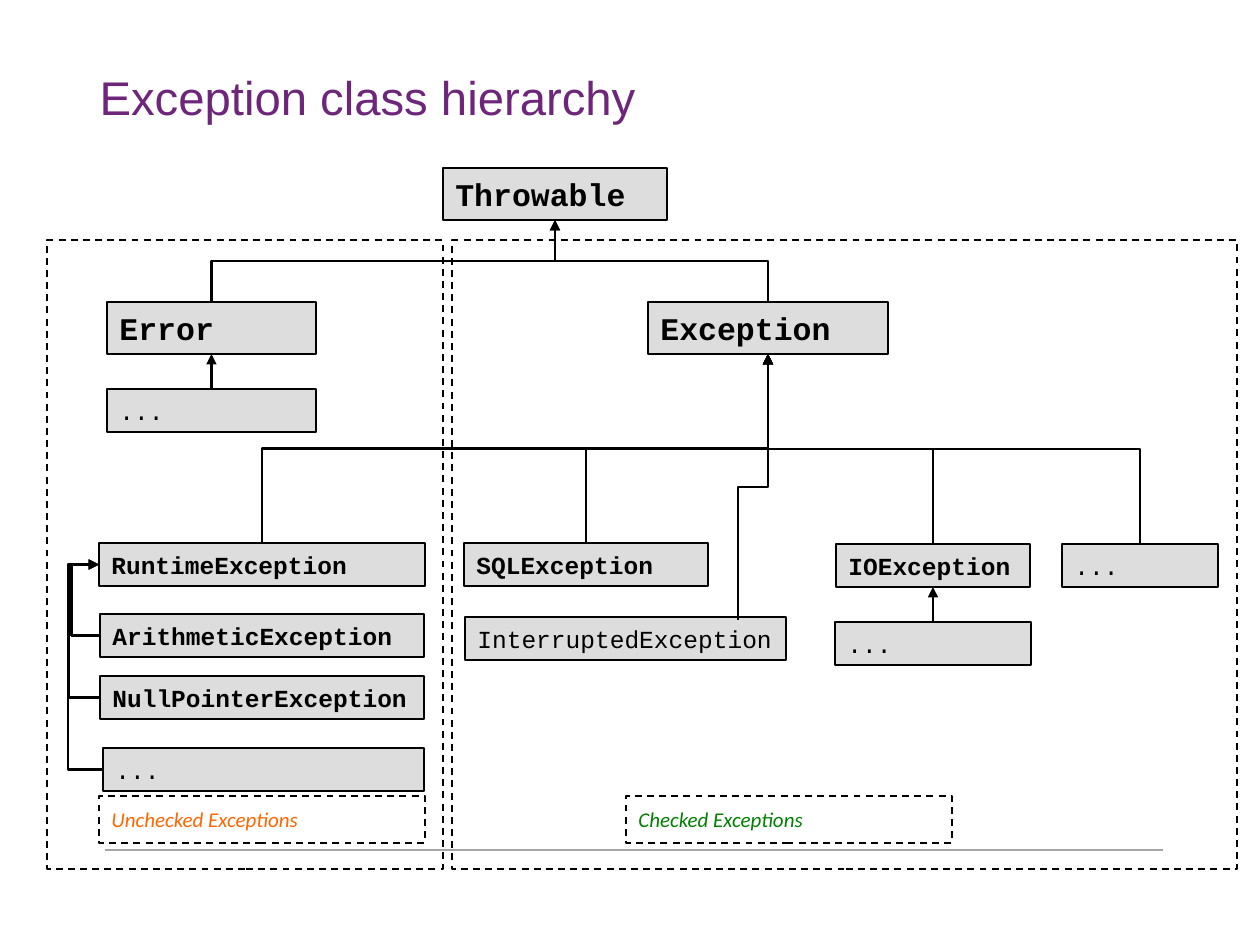
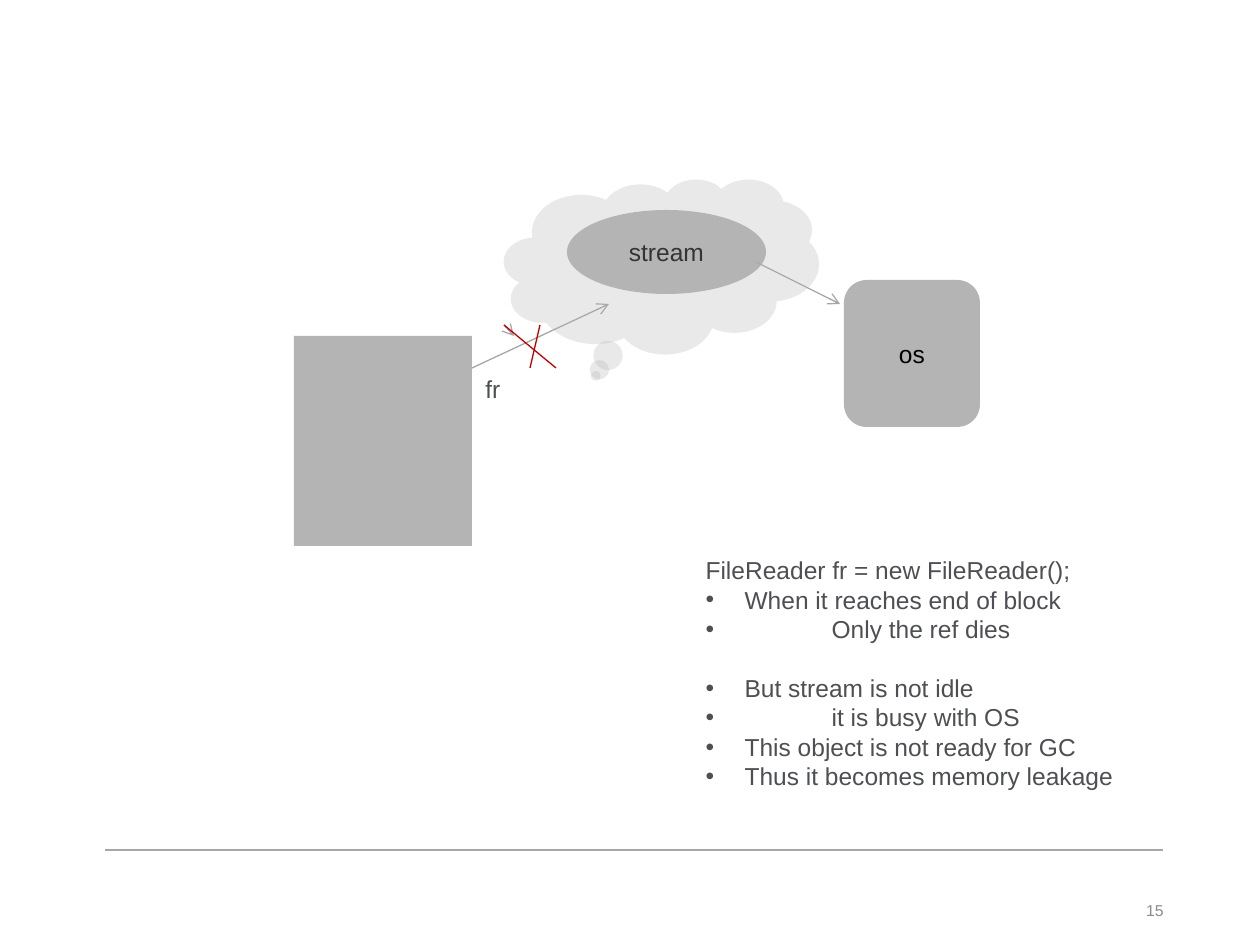
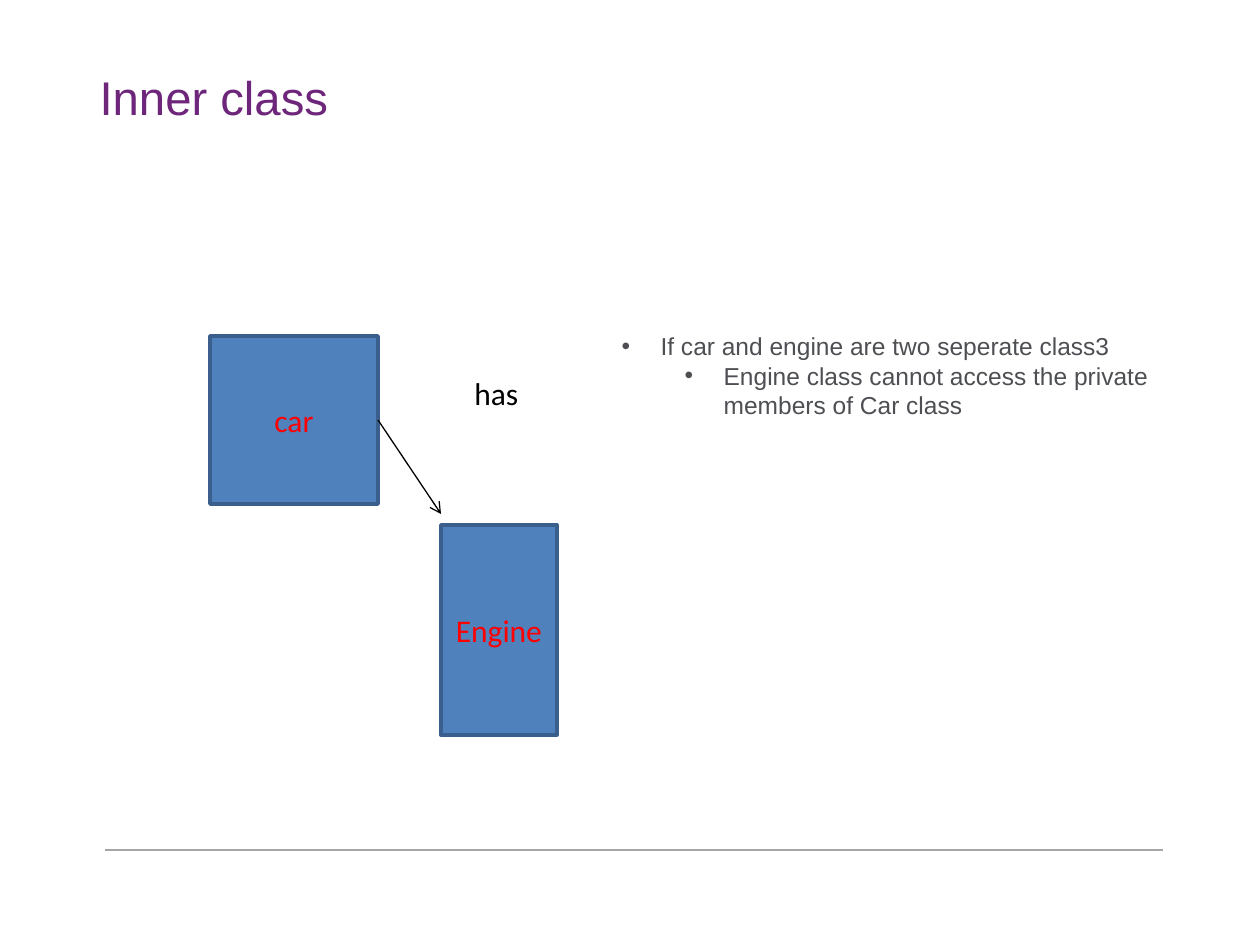
from lxml.etree import SubElement
from pptx import Presentation
from pptx.dml.color import RGBColor
from pptx.enum.dml import MSO_LINE
from pptx.enum.shapes import MSO_CONNECTOR, MSO_SHAPE
from pptx.enum.text import MSO_ANCHOR, MSO_AUTO_SIZE, PP_ALIGN
from pptx.oxml.ns import qn
from pptx.util import Emu, Pt

PX = 914400 / 126
BLACK = RGBColor(0x00, 0x00, 0x00)
PURPLE = RGBColor(0x6E, 0x26, 0x7B)
BOX_GREY = RGBColor(0xDD, 0xDD, 0xDD)
SHAPE_GREY = RGBColor(0xB4, 0xB4, 0xB4)
LINE_GREY = RGBColor(0xA6, 0xA6, 0xA6)
NUMBER_GREY = RGBColor(0x8C, 0x8C, 0x8C)
TEXT_GREY = RGBColor(0x4D, 0x4F, 0x53)
ORANGE = RGBColor(0xFF, 0x66, 0x00)
GREEN = RGBColor(0x00, 0x80, 0x00)
DARK_RED = RGBColor(0xC0, 0x00, 0x00)
RED = RGBColor(0xFF, 0x00, 0x00)
BLUE = RGBColor(0x4F, 0x81, 0xBD)
BLUE_EDGE = RGBColor(0x3A, 0x5F, 0x8C)

TITLE_AND_CONTENT, TITLE_ONLY = 1, 5
TOP, LEFT, BOTTOM = 0, 1, 2  # connection sites of a rectangle
LINE_HEIGHT = Pt(16.8)
HANGING = 39


def px(*lengths):
    return [Emu(round(length * PX)) for length in lengths]


def style_paragraph(paragraph, font_name, size, color, bold=False, italic=False,
                    align=PP_ALIGN.LEFT):
    paragraph.alignment = align
    font = paragraph.font
    font.name, font.size = font_name, Pt(size)
    font.bold, font.italic = bold, italic
    font.color.rgb = color


def write(shape, text, font_name, size, color, anchor=MSO_ANCHOR.MIDDLE, **style):
    frame = shape.text_frame
    frame.word_wrap = True
    frame.vertical_anchor = anchor
    frame.text = text
    style_paragraph(frame.paragraphs[0], font_name, size, color, **style)


def add_label(slide, box, text, font_name, size, color, **style):
    label = slide.shapes.add_textbox(*px(*box))
    write(label, text, font_name, size, color, **style)


def add_block(slide, kind, box, fill=None, line=None, line_width=0.75):
    shape = slide.shapes.add_shape(kind, *px(*box))
    shape.shadow.inherit = False
    if fill is None:
        shape.fill.background()
    else:
        shape.fill.solid()
        shape.fill.fore_color.rgb = fill
    if line is None:
        shape.line.fill.background()
    else:
        shape.line.color.rgb = line
        shape.line.width = Pt(line_width)
    return shape


def style_connector(connector, color, width, arrowhead=None):
    connector.line.color.rgb = color
    connector.line.width = Pt(width)
    properties = connector.element.spPr
    if arrowhead:
        SubElement(properties.find(qn("a:ln")), qn("a:tailEnd"), type=arrowhead)
    SubElement(properties, qn("a:effectLst"))


def add_line(slide, start, end, color, arrowhead=None):
    connector = slide.shapes.add_connector(MSO_CONNECTOR.STRAIGHT, *px(*start, *end))
    style_connector(connector, color, 0.75, arrowhead)
    return connector


def set_title(slide, text):
    title = slide.shapes.title
    title.left, title.top, title.width, title.height = px(63, 53, 1134, 88)
    write(title, text, "Arial", 27, PURPLE)
    properties = title.text_frame.paragraphs[0]._p.get_or_add_pPr()
    properties.set("marL", str(px(24)[0]))
    properties.set("indent", "0")


def set_list(slide, box, items):
    """Fill the body with (text, bullet indent, text indent, space before) items.

    An item without a bullet has None as its bullet indent.
    """
    body = slide.placeholders[1]
    body.left, body.top, body.width, body.height = px(*box)
    frame = body.text_frame
    frame.auto_size = MSO_AUTO_SIZE.NONE
    frame.text = "\n".join(item[0] for item in items)
    for paragraph, (_, bullet, margin, space) in zip(frame.paragraphs, items):
        properties = paragraph._p.get_or_add_pPr()
        properties.set("marL", str(px(margin)[0]))
        if bullet is None:
            properties.set("indent", "0")
            SubElement(properties, qn("a:buNone"))
        else:
            properties.set("indent", str(px(bullet - margin)[0]))
            SubElement(properties, qn("a:buFont"), typeface="Arial")
            SubElement(properties, qn("a:buChar"), char="•")
        paragraph.line_spacing = LINE_HEIGHT
        paragraph.space_before = space
        style_paragraph(paragraph, "Arial", 14, TEXT_GREY)


def add_master_rule(presentation, slide):
    """Draw the footer rule and move it to the master, so every slide shows it."""
    rule = add_line(slide, (105, 850), (1163, 850), LINE_GREY)
    presentation.slide_master.element.cSld.spTree.append(rule.element)


def add_class_box(slide, text, left, top, width, size=14, bold=True):
    height = 52 if size == 18 else 43
    box = add_block(slide, MSO_SHAPE.RECTANGLE, (left, top, width, height), BOX_GREY, BLACK)
    write(box, text, "Courier New", size, BLACK, bold=bold)
    return box


def join(slide, kind, child, parent, child_site, parent_site, start=(0, 0)):
    """Connect child to parent; without a child the connector begins at start."""
    connector = slide.shapes.add_connector(kind, *px(*start, *start))
    if child is not None:
        connector.begin_connect(child, child_site)
    connector.end_connect(parent, parent_site)
    style_connector(connector, BLACK, 1.5, "triangle")
    return connector


def turn(connector, degrees, flip=False):
    frame = connector.element.spPr.find(qn("a:xfrm"))
    for name in ("flipH", "flipV"):
        frame.attrib.pop(name, None)
    frame.set("rot", str(degrees * 60000))
    if flip:
        frame.set("flipH", "1")


def join_upwards(slide, child, parent, start=(0, 0)):
    """Elbow that leaves the child upwards and enters the parent from below."""
    connector = join(slide, MSO_CONNECTOR.ELBOW, child, parent, TOP, BOTTOM, start)
    width, height = connector.width, connector.height
    center_x = connector.left + width // 2
    center_y = connector.top + height // 2
    child_is_right = connector.begin_x > connector.end_x
    connector.left, connector.top = center_x - height // 2, center_y - width // 2
    connector.width, connector.height = height, width
    turn(connector, 90 if child_is_right else 270, child_is_right)


def join_on_left(slide, child, parent, bus):
    """Elbow from left side to left side, passing the vertical line x = bus."""
    connector = join(slide, MSO_CONNECTOR.ELBOW, child, parent, LEFT, LEFT)
    bend = (child.left - px(bus)[0]) / (child.left - parent.left)
    guides = connector.element.spPr.find(qn("a:prstGeom")).get_or_add_avLst()
    SubElement(guides, qn("a:gd"), name="adj1", fmla=f"val {round(bend * 100000)}")
    turn(connector, 180)


def add_dashed_box(slide, box):
    shape = add_block(slide, MSO_SHAPE.RECTANGLE, box, line=BLACK, line_width=1)
    shape.line.dash_style = MSO_LINE.DASH
    return shape


def build_hierarchy(slide):
    set_title(slide, "Exception class hierarchy")
    throwable = add_class_box(slide, "Throwable", 443, 168, 224, 18)
    error = add_class_box(slide, "Error", 107, 302, 209, 18)
    exception = add_class_box(slide, "Exception", 648, 302, 240, 18)
    runtime = add_class_box(slide, "RuntimeException", 99, 543, 326)
    sql = add_class_box(slide, "SQLException", 464, 543, 244)
    arithmetic = add_class_box(slide, "ArithmeticException", 100, 614, 324)
    null_pointer = add_class_box(slide, "NullPointerException", 100, 676, 324)
    input_output = add_class_box(slide, "IOException", 836, 544, 194)
    add_class_box(slide, "InterruptedException", 465, 617, 321, bold=False)
    more_errors, more_runtime, more_exceptions, more_input_output = [
        add_class_box(slide, "...", *place, bold=False)
        for place in ((107, 389, 209), (103, 748, 321), (1062, 544, 156), (835, 622, 196))]

    for child in (error, exception):
        join_upwards(slide, child, throwable)
    for child in (runtime, sql, input_output, more_exceptions):
        join_upwards(slide, child, exception)
    join_upwards(slide, None, exception, start=(738, 620))
    for child, bus in ((arithmetic, 71), (null_pointer, 68), (more_runtime, 68)):
        join_on_left(slide, child, runtime, bus)
    for child, parent in ((more_errors, error), (more_input_output, input_output)):
        join(slide, MSO_CONNECTOR.STRAIGHT, child, parent, TOP, BOTTOM)

    for left, width in ((47, 396), (452, 785)):
        add_dashed_box(slide, (left, 240, width, 629))
    for left, text, color in ((99, "Unchecked Exceptions", ORANGE),
                              (626, "Checked Exceptions", GREEN)):
        legend = add_dashed_box(slide, (left, 796, 326, 47))
        write(legend, text, "Calibri", 12, color, italic=True)


def build_stream(slide):
    title = slide.shapes.title.element
    title.getparent().remove(title)
    add_label(slide, (882, 885, 294, 50), "15", "Arial", 9, NUMBER_GREY, align=PP_ALIGN.RIGHT)
    for kind, box, text in ((MSO_SHAPE.OVAL, (567, 210, 199, 84), "stream"),
                            (MSO_SHAPE.ROUNDED_RECTANGLE, (844, 280, 136, 147), "os")):
        shape = add_block(slide, kind, box, SHAPE_GREY)
        write(shape, text, "Arial", 14, BLACK, align=PP_ALIGN.CENTER)
    add_block(slide, MSO_SHAPE.RECTANGLE, (294, 336, 178, 210), SHAPE_GREY)
    add_label(slide, (473, 368, 84, 43), "fr", "Arial", 14, TEXT_GREY, anchor=MSO_ANCHOR.TOP)
    add_line(slide, (756, 262), (840, 304), LINE_GREY, "arrow")
    add_line(slide, (472, 368), (609, 304), LINE_GREY, "arrow")
    cloud = add_block(slide, MSO_SHAPE.CLOUD_CALLOUT, (504, 179, 315, 175), SHAPE_GREY)
    cloud_color = cloud.element.spPr.find(qn("a:solidFill"))[0]
    SubElement(cloud_color, qn("a:alpha"), val="29000")
    add_line(slide, (504, 325), (514, 336), LINE_GREY, "arrow")
    add_line(slide, (504, 325), (556, 368), DARK_RED)
    add_line(slide, (540, 325), (530, 368), DARK_RED)
    set_list(slide, (693, 549, 451, 251), [
        ("FileReader fr = new FileReader();", None, 0, 0),
        ("When it reaches end of block", 0, HANGING, 0),
        ("Only the ref dies", 0, 126, 0),
        ("But stream is not idle", 0, HANGING, LINE_HEIGHT),
        ("it is busy with OS", 0, 126, 0),
        ("This object is not ready for GC", 0, HANGING, 0),
        ("Thus it becomes memory leakage", 0, HANGING, 0),
    ])


def build_inner_class(slide):
    set_title(slide, "Inner class")
    for text, box in (("car", (210, 336, 168, 168)), ("Engine", (441, 525, 116, 210))):
        shape = add_block(slide, MSO_SHAPE.RECTANGLE, box, BLUE, BLUE_EDGE, 2)
        write(shape, text, "Calibri", 18, RED, align=PP_ALIGN.CENTER)
    add_line(slide, (378, 420), (441, 514), BLACK, "arrow")
    add_label(slide, (462, 368, 94, 50), "has", "Calibri", 18, BLACK, anchor=MSO_ANCHOR.TOP)
    set_list(slide, (609, 325, 567, 102), [
        ("If car and engine are two seperate class3", 0, HANGING, 0),
        ("Engine class cannot access the private members of Car class", 63, 63 + HANGING, 0),
    ])


def main():
    presentation = Presentation()
    presentation.slide_width, presentation.slide_height = px(1260, 945)
    pages = ((TITLE_ONLY, build_hierarchy), (TITLE_AND_CONTENT, build_stream),
             (TITLE_AND_CONTENT, build_inner_class))
    for layout, build in pages:
        build(presentation.slides.add_slide(presentation.slide_layouts[layout]))
    add_master_rule(presentation, presentation.slides[0])
    presentation.save("out.pptx")


if __name__ == "__main__":
    main()
